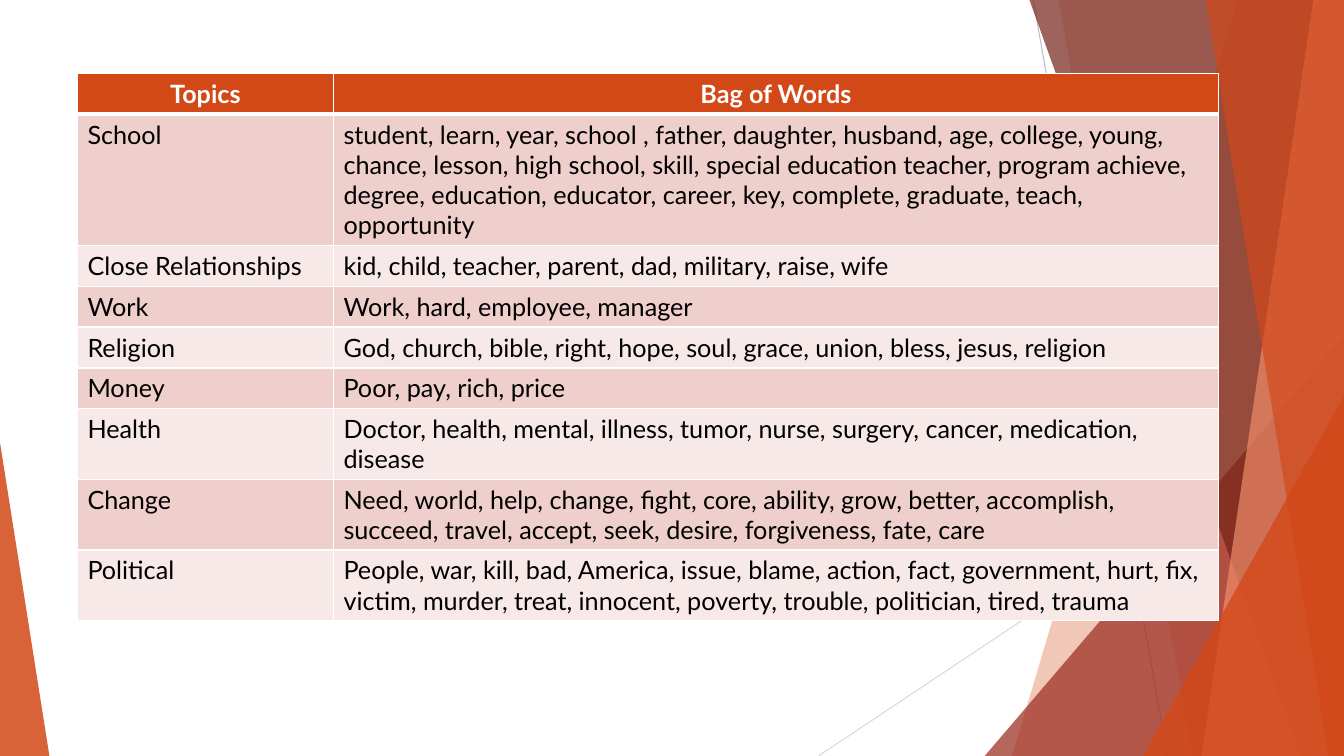
from lxml import etree
from pptx import Presentation
from pptx.dml.color import RGBColor
from pptx.enum.shapes import MSO_CONNECTOR, MSO_SHAPE
from pptx.enum.text import PP_ALIGN
from pptx.oxml.ns import qn
from pptx.util import Pt

STRAIGHT = MSO_CONNECTOR.STRAIGHT
TRIANGLE = MSO_SHAPE.ISOSCELES_TRIANGLE
LEFT, CENTER = PP_ALIGN.LEFT, PP_ALIGN.CENTER

WHITE = RGBColor(0xFF, 0xFF, 0xFF)
BLACK = RGBColor(0x00, 0x00, 0x00)
ORANGE = RGBColor(0xD3, 0x48, 0x17)
SALMON = RGBColor(0xEF, 0x8C, 0x6A)
RED = RGBColor(0x9B, 0x2D, 0x1F)
MAROON = RGBColor(0x74, 0x22, 0x17)
DARK_BAND = RGBColor(0xEF, 0xCF, 0xCC)
LIGHT_BAND = RGBColor(0xF7, 0xE9, 0xE8)
GRAY = RGBColor(0xBF, 0xBF, 0xBF)
LIGHT_GRAY = RGBColor(0xD9, 0xD9, 0xD9)

WIDTH, HEIGHT = 960, 540
PANEL_TOP = -0.7

TOPICS = [
    ("Topics", "Bag of Words"),
    ("School", "student, learn, year, school , father, daughter, husband, age, college, "
     "young, chance, lesson, high school, skill, special education teacher, program "
     "achieve, degree, education, educator, career, key, complete, graduate, teach, "
     "opportunity"),
    ("Close Relationships", "kid, child, teacher, parent, dad, military, raise, wife"),
    ("Work", "Work, hard, employee, manager"),
    ("Religion", "God, church, bible, right, hope, soul, grace, union, bless, jesus, "
     "religion"),
    ("Money", "Poor, pay, rich, price"),
    ("Health", "Doctor, health, mental, illness, tumor, nurse, surgery, cancer, "
     "medication, disease"),
    ("Change", "Need, world, help, change, fight, core, ability, grow, better, "
     "accomplish, succeed, travel, accept, seek, desire, forgiveness, fate, care"),
    ("Political", "People, war, kill, bad, America, issue, blame, action, fact, "
     "government, hurt, fix, victim, murder, treat, innocent, poverty, trouble, "
     "politician, tired, trauma"),
]


def write_text(frame, text, size=18, color=BLACK, bold=False, align=LEFT, font="Lato"):
    para = frame.paragraphs[0]
    para.alignment = align
    span = para.add_run()
    span.text = text
    span.font.name = font
    span.font.size = Pt(size)
    span.font.bold = bold
    span.font.color.rgb = color


def set_borders(cell, color, **widths):
    """Draw cell edges; widths are keyed L, R, T, B in schema order."""
    properties = cell._tc.get_or_add_tcPr()
    for index, (side, width) in enumerate(widths.items()):
        line = etree.Element(qn(f"a:ln{side}"), w=str(Pt(width)))
        fill = etree.SubElement(line, qn("a:solidFill"))
        etree.SubElement(fill, qn("a:srgbClr"), val=str(color))
        properties.insert(index, line)


class TopicPage:
    def __init__(self, page):
        self.shapes = page.shapes

    def paint(self, shape, color, opacity):
        """Fill without outline or shadow; opacity is in percent."""
        shape.shadow.inherit = False
        shape.line.fill.background()
        shape.fill.solid()
        shape.fill.fore_color.rgb = color
        tint = shape._element.spPr.find(".//" + qn("a:srgbClr"))
        etree.SubElement(tint, qn("a:alpha"), val=str(opacity * 1000))

    def line(self, start, end, color):
        line = self.shapes.add_connector(STRAIGHT, *map(Pt, start + end))
        line.line.color.rgb = color
        line.line.width = Pt(0.75)
        etree.SubElement(line._element.spPr, qn("a:effectLst"))

    def panel(self, top_x, bottom_x, color, opacity):
        """Fill everything right of a slanted edge."""
        builder = self.shapes.build_freeform(Pt(top_x), Pt(PANEL_TOP))
        corners = [(WIDTH, PANEL_TOP), (WIDTH, HEIGHT), (bottom_x, HEIGHT)]
        builder.add_line_segments([(Pt(x), Pt(y)) for x, y in corners], close=True)
        self.paint(builder.convert_to_shape(), color, opacity)

    def triangle(self, left, top, width, apex, color, opacity):
        """Stand a triangle on the bottom edge of the page."""
        shape = self.shapes.add_shape(
            TRIANGLE, Pt(left), Pt(top), Pt(width), Pt(HEIGHT - top))
        shape.adjustments[0] = apex
        self.paint(shape, color, opacity)

    def table(self, left, top, widths, row_height, rows):
        table = self.shapes.add_table(
            len(rows), len(widths), Pt(left), Pt(top),
            Pt(sum(widths)), Pt(row_height * len(rows))).table
        for column, width in zip(table.columns, widths):
            column.width = Pt(width)
        for row_index, texts in enumerate(rows):
            header = row_index == 0
            band = DARK_BAND if row_index % 2 else LIGHT_BAND
            table.rows[row_index].height = Pt(row_height)
            for column_index, text in enumerate(texts):
                cell = table.cell(row_index, column_index)
                cell.fill.solid()
                cell.fill.fore_color.rgb = ORANGE if header else band
                set_borders(cell, WHITE, L=1, R=1,
                            T=3 if row_index == 1 else 1, B=3 if header else 1)
                write_text(cell.text_frame, text, bold=header,
                           color=WHITE if header else BLACK,
                           align=CENTER if header else LEFT)


def main():
    deck = Presentation()
    deck.slide_width, deck.slide_height = Pt(WIDTH), Pt(HEIGHT)
    page = TopicPage(deck.slides.add_slide(deck.slide_layouts[6]))

    page.line((738, 0), (834, HEIGHT), GRAY)
    page.line((WIDTH, 290), (584.6, HEIGHT), LIGHT_GRAY)
    page.panel(884.2, 722.9, ORANGE, 30)
    page.panel(756, 851.8, ORANGE, 20)
    page.triangle(703.4, 239.8, 256.6, 1, RED, 72)
    page.panel(735.1, 929.5, MAROON, 70)
    page.panel(938.2, 858.2, SALMON, 70)
    page.panel(861.1, 949, ORANGE, 65)
    page.triangle(816.5, 283, 143.5, 1, ORANGE, 80)
    page.triangle(0, 316.1, 35.3, 0, ORANGE, 85)
    page.table(55.3, 52.4, (182.9, 632.2), 29.2, TOPICS)

    deck.save("out.pptx")


if __name__ == "__main__":
    main()
